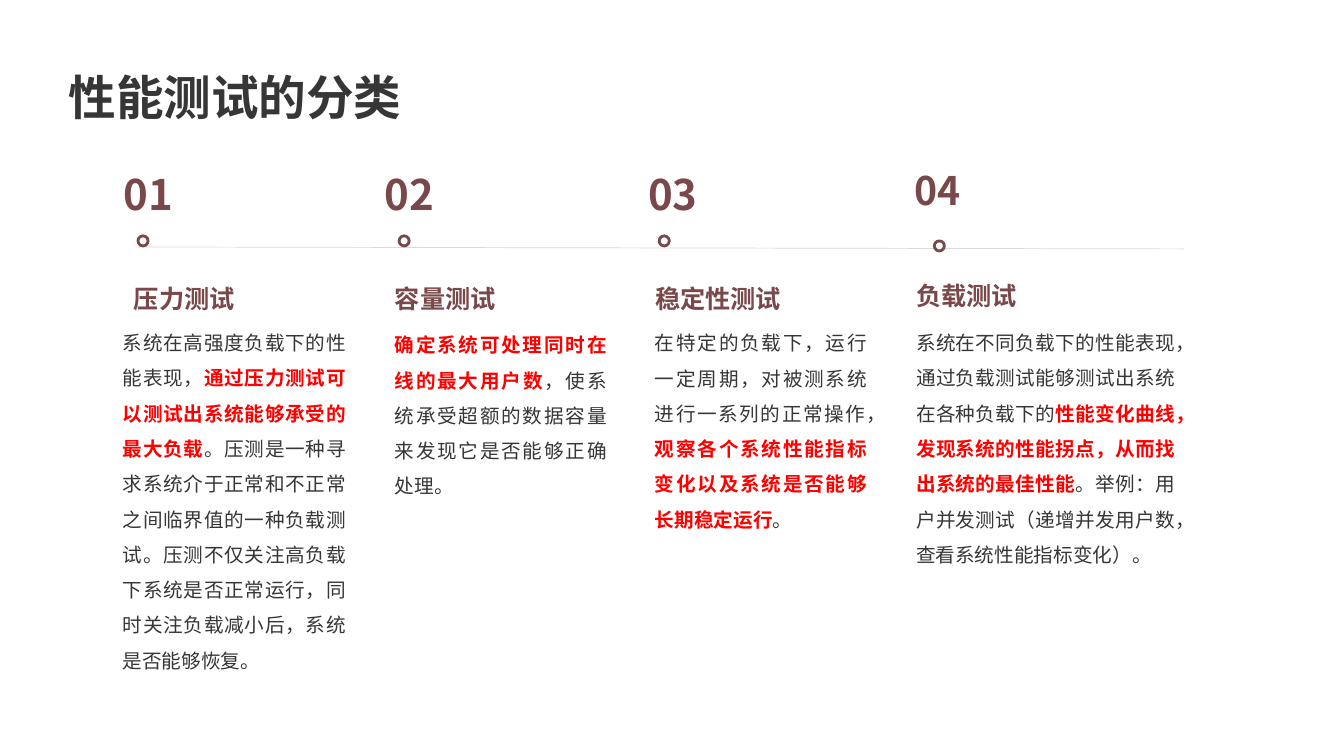
"""Build the slide on the four kinds of performance testing."""
from dataclasses import dataclass

from lxml import etree
from pptx import Presentation
from pptx import util as u
from pptx.dml.color import RGBColor
from pptx.enum import lang, shapes, text
from pptx.oxml import ns

DARK = RGBColor(0x36, 0x36, 0x36)
WINE = RGBColor(0x78, 0x48, 0x4A)
RED = RGBColor(0xFF, 0x00, 0x00)
GREY = RGBColor(0xD9, 0xD9, 0xD9)
WHITE = RGBColor(0xFF, 0xFF, 0xFF)
LEFT, JUST = text.PP_ALIGN.LEFT, text.PP_ALIGN.JUSTIFY
NOTO = "Noto Sans CJK SC"
DOT = 7.2


@dataclass(frozen=True)
class Box:
    left: float
    top: float
    width: float
    height: float

    def place(self) -> tuple:
        return tuple(u.Pt(n) for n in (self.left, self.top, self.width, self.height))


@dataclass(frozen=True)
class Run:
    words: str
    color: RGBColor = DARK
    bold: bool = False


@dataclass(frozen=True)
class Style:
    size: float
    line: float
    font: str = "Arial"
    align: text.PP_ALIGN = LEFT
    after: float = 0
    wrap: bool = True


@dataclass(frozen=True)
class Kind:
    num: str
    num_box: Box
    num_style: Style
    dot: tuple[float, float]
    name: str
    name_box: Box
    body: tuple[Run, ...]
    body_box: Box


HEAD = Style(34, 1.1)
NAME = Style(18, 1.2, wrap=False)
BODY = Style(14, 1.5, align=JUST)
NUM = Style(30, 1.2, NOTO, after=12)
LAST = Style(28, 1.2, NOTO, after=10, wrap=False)

KINDS = (
    Kind("01", Box(81.4, 109.4, 57.6, 51.1), NUM, (98.6, 168.5),
         "压力测试", Box(88.6, 194.4, 86.4, 33.1),
         (Run("系统在高强度负载下的性能表现，"),
          Run("通过压力测试可以测试出系统能够承受的最大负载", RED, True),
          Run("。压测是一种寻求系统介于正常和不正常之间临界值的一种负载测试。"
              "压测不仅关注高负载下系统是否正常运行，同时关注负载减小后，系统是否能够恢复。")),
         Box(80.6, 224.6, 173.5, 261.4)),
    Kind("02", Box(267.8, 109.4, 59, 47.5), NUM, (285.1, 168.5),
         "容量测试", Box(275, 194.4, 86.4, 33.1),
         (Run("确定系统可处理同时在线的最大用户数", RED, True),
          Run("，使系统承受超额的数据容量来发现它是否能够正确处理。")),
         Box(275, 226.1, 165.6, 134.6)),
    Kind("03", Box(455.8, 109.4, 59, 47.5), NUM, (470.9, 168.5),
         "稳定性测试", Box(460.8, 194.4, 104.4, 33.1),
         (Run("在特定的负载下，运行一定周期，对被测系统进行一系列的正常操作，"),
          Run("观察各个系统性能指标变化以及系统是否能够长期稳定运行", RED, True),
          Run("。")),
         Box(460.8, 224.6, 165.6, 159.8)),
    Kind("04", Box(645.8, 108.7, 49, 47.5), LAST, (667.4, 172.1),
         "负载测试", Box(647.3, 192.2, 86.4, 33.1),
         (Run("系统在不同负载下的性能表现，通过负载测试能够测试出系统在各种负载下的"),
          Run("性能变化曲线，发现系统的性能拐点，从而找出系统的最佳性能", RED, True),
          Run("。举例：用户并发测试（递增并发用户数，查看系统性能指标变化）。")),
         Box(647.3, 224.6, 199.4, 185)),
)


def assign(item: object, form: dict) -> None:
    for key, value in form.items():
        setattr(item, key, value)


def write(shape, style: Style, *runs: Run) -> None:
    frame = shape.text_frame
    assign(frame, {"word_wrap": style.wrap,
                   "auto_size": text.MSO_AUTO_SIZE.SHAPE_TO_FIT_TEXT,
                   "vertical_anchor": text.MSO_ANCHOR.TOP})
    para = frame.paragraphs[0]
    assign(para, {"alignment": style.align, "line_spacing": style.line,
                  "space_before": u.Pt(0), "space_after": u.Pt(style.after)})
    for run in runs:
        part = para.add_run()
        part.text = run.words
        assign(part.font, {"name": style.font, "size": u.Pt(style.size),
                           "bold": run.bold,
                           "language_id": lang.MSO_LANGUAGE_ID.SIMPLIFIED_CHINESE})
        part.font.color.rgb = run.color


def add_text(slide, box: Box, style: Style, *runs: Run) -> None:
    write(slide.shapes.add_textbox(*box.place()), style, *runs)


def add_title(slide) -> None:
    title = slide.shapes.title
    left, top, width, height = Box(41.8, 41, 301, 52.6).place()
    assign(title, {"left": left, "top": top, "width": width, "height": height})
    write(title, HEAD, Run("性能测试的分类", DARK, True))


def add_axis(slide) -> None:
    ends = (u.Pt(n) for n in (98.6, 176.4, 846, 177.8))
    axis = slide.shapes.add_connector(shapes.MSO_CONNECTOR.STRAIGHT, *ends)
    axis.line.color.rgb = GREY
    axis.line.width = u.Pt(0.5)
    props = axis.element.find(ns.qn("p:spPr"))
    etree.SubElement(props, ns.qn("a:effectLst"))


def add_dot(slide, left: float, top: float) -> None:
    dot = slide.shapes.add_shape(shapes.MSO_SHAPE.OVAL, *Box(left, top, DOT, DOT).place())
    dot.shadow.inherit = False
    dot.fill.solid()
    dot.fill.fore_color.rgb = WHITE
    dot.line.color.rgb = WINE
    dot.line.width = u.Pt(2)


def add_kind(slide, kind: Kind) -> None:
    add_dot(slide, *kind.dot)
    add_text(slide, kind.num_box, kind.num_style, Run(kind.num, WINE, True))
    add_text(slide, kind.name_box, NAME, Run(kind.name, WINE, True))
    add_text(slide, kind.body_box, BODY, *kind.body)


def main() -> None:
    deck = Presentation()
    deck.slide_width, deck.slide_height = u.Pt(960), u.Pt(540)
    slide = deck.slides.add_slide(deck.slide_layouts.get_by_name("Title Only"))
    add_title(slide)
    add_axis(slide)
    for kind in KINDS:
        add_kind(slide, kind)
    deck.save("out.pptx")


if __name__ == "__main__":
    main()
